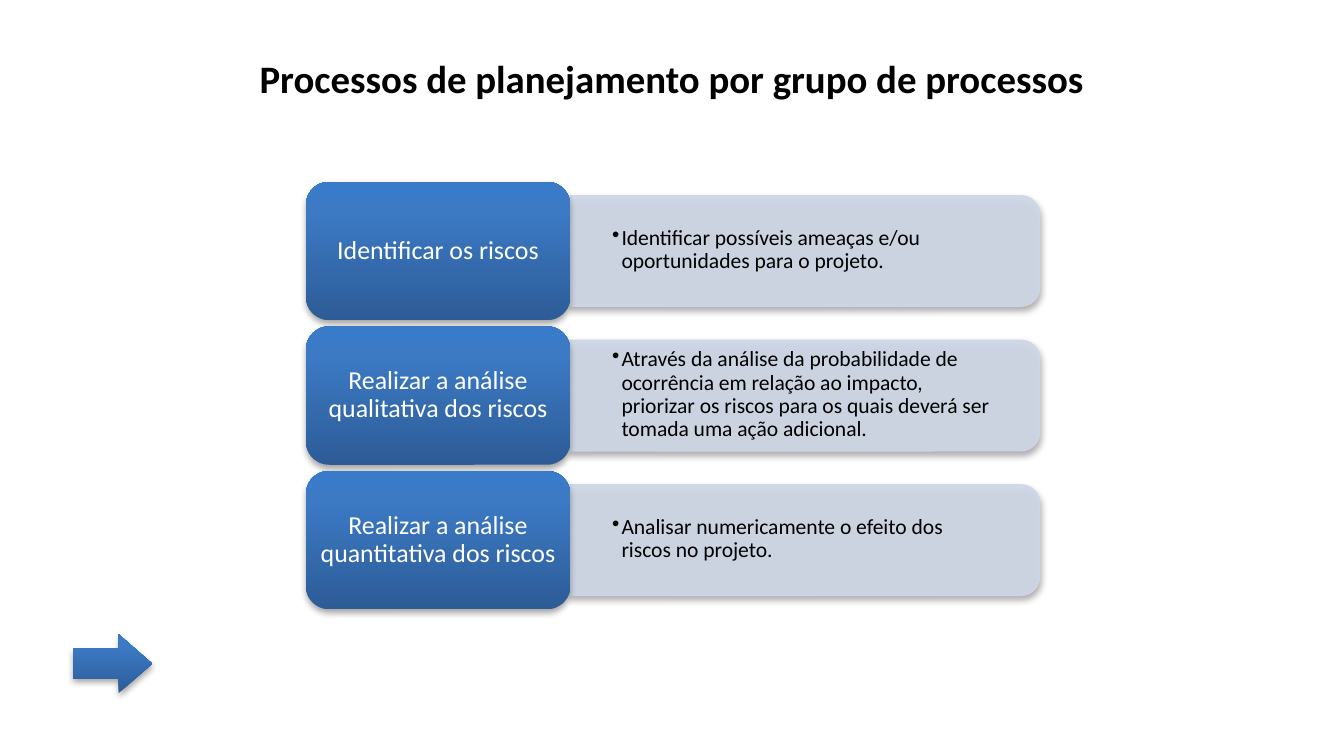
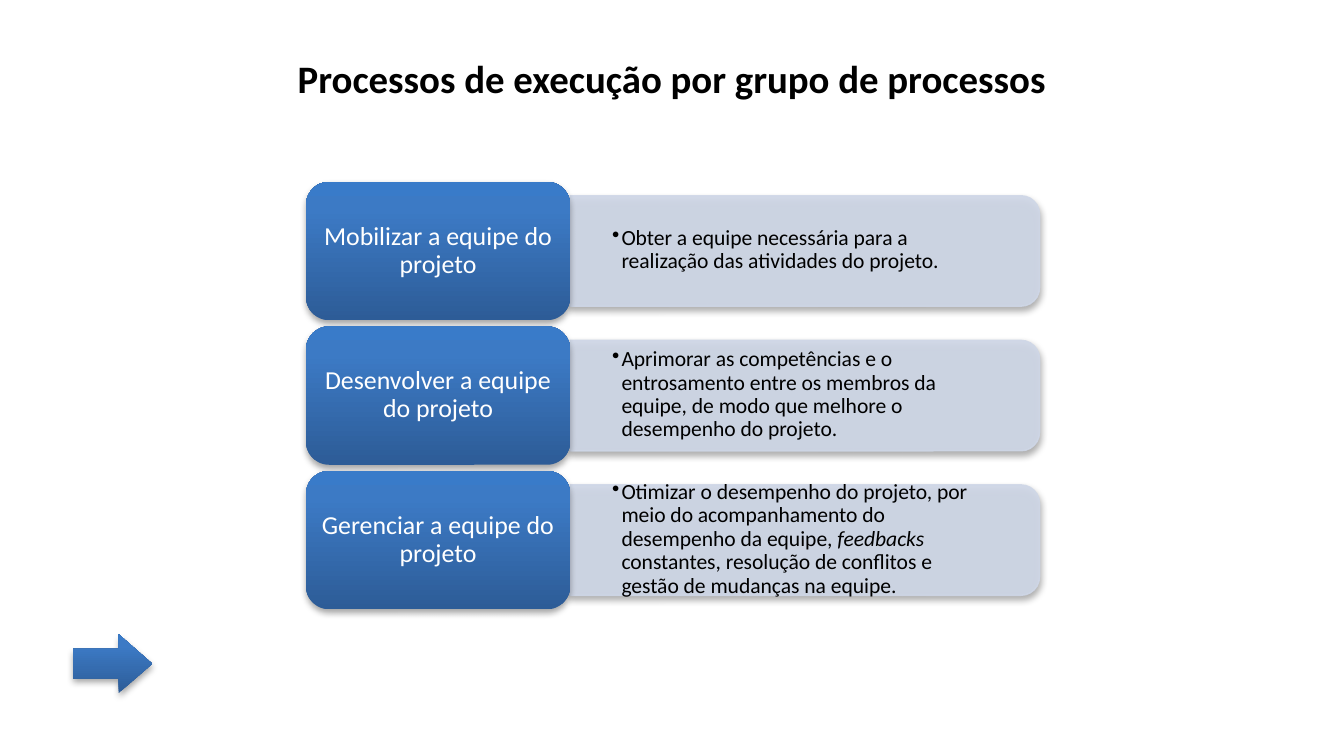
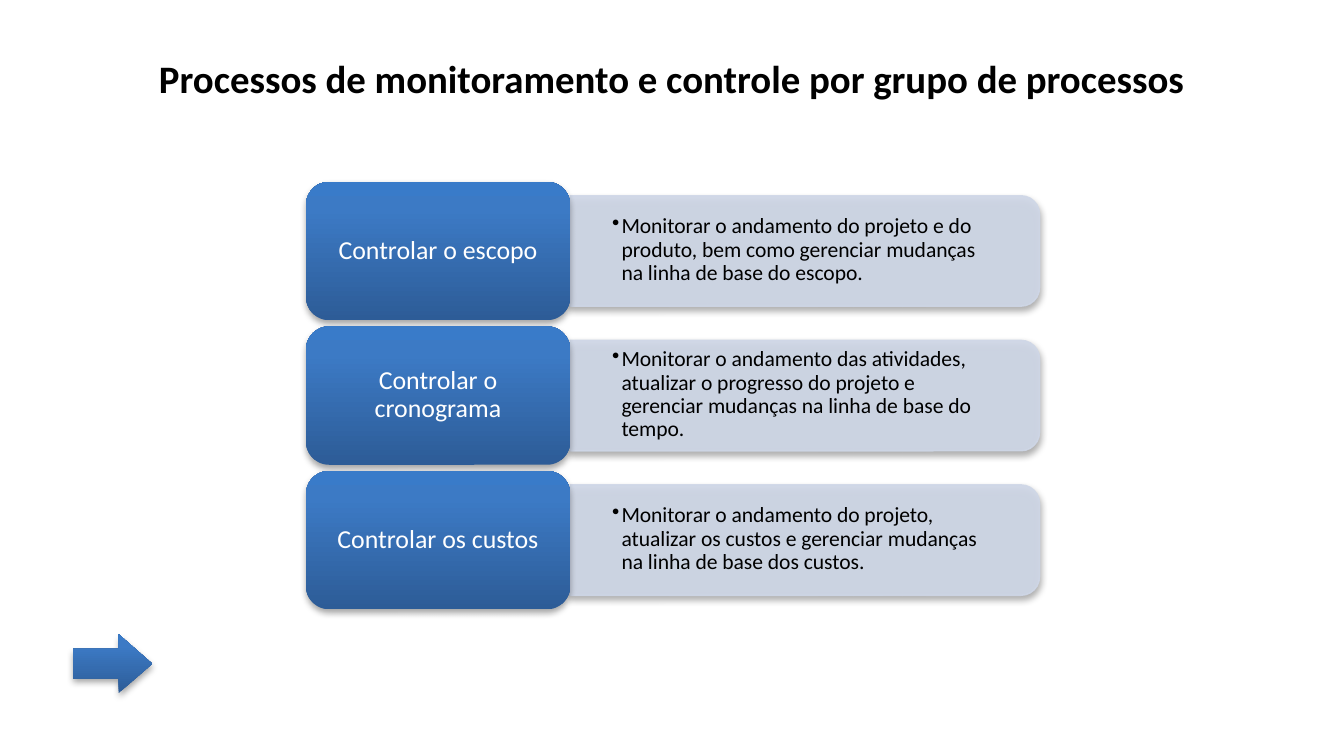
import copy
import lxml.etree
import pptx
import pptx.dml.color
import pptx.enum.dml
import pptx.enum.shapes
import pptx.enum.text
import pptx.oxml
import pptx.oxml.ns
import pptx.util

Inches = pptx.util.Inches
Pt = pptx.util.Pt
RGBColor = pptx.dml.color.RGBColor
qn = pptx.oxml.ns.qn
Shape = pptx.enum.shapes.MSO_SHAPE
Align = pptx.enum.text.PP_ALIGN
Anchor = pptx.enum.text.MSO_ANCHOR

BLACK = RGBColor(0x00, 0x00, 0x00)
WHITE = RGBColor(0xFF, 0xFF, 0xFF)
PALE = RGBColor(0xCF, 0xD7, 0xE7)
BLUES = [(0, RGBColor(0x2D, 0x5C, 0x97)),
         (0.8, RGBColor(0x3C, 0x7A, 0xC5)),
         (1, RGBColor(0x39, 0x7B, 0xC9))]

WIDTH, HEIGHT = 8.65, 4.69
TOP, PITCH = 1.17, 0.93
LEFT, WIDE, TALL = 1.97, 1.7, 0.89
PANEL, DEPTH = 3.02, 0.71
ROUND = 0.167

SHADOW = (
    f'<a:effectLst {pptx.oxml.ns.nsdecls("a")}>'
    '<a:outerShdw blurRad="40000" dist="23000" dir="5400000" rotWithShape="0">'
    '<a:srgbClr val="000000"><a:alpha val="35000"/></a:srgbClr>'
    '</a:outerShdw></a:effectLst>')

TITLE = {
    "frame": {"word_wrap": True},
    "para": {"alignment": Align.CENTER},
    "font": {"name": "Calibri", "size": Pt(18), "bold": True},
    "color": BLACK}
LABEL = {
    "frame": {"word_wrap": True, "vertical_anchor": Anchor.MIDDLE,
              "margin_left": Inches(0.05), "margin_right": Inches(0.05),
              "margin_top": Inches(0.02), "margin_bottom": Inches(0.02)},
    "para": {"alignment": Align.CENTER, "line_spacing": 0.9},
    "font": {"name": "Calibri", "size": Pt(12)},
    "color": WHITE}
DETAIL = {
    "frame": {"word_wrap": True, "vertical_anchor": Anchor.MIDDLE,
              "margin_left": Inches(0.27), "margin_right": Inches(0.27),
              "margin_top": Inches(0.14), "margin_bottom": Inches(0.14)},
    "para": {"alignment": Align.LEFT, "line_spacing": 0.9, "level": 1},
    "font": {"name": "Calibri", "size": Pt(10)},
    "color": BLACK,
    "bullet": "•"}

SLIDES = [
    ("Processos de planejamento por grupo de processos", [
        ("Identificar os riscos",
         "Identificar possíveis ameaças e/ou oportunidades para o projeto."),
        ("Realizar a análise qualitativa dos riscos",
         "Através da análise da probabilidade de ocorrência em relação ao impacto, "
         "priorizar os riscos para os quais deverá ser tomada uma ação adicional."),
        ("Realizar a análise quantitativa dos riscos",
         "Analisar numericamente o efeito dos riscos no projeto.")]),
    ("Processos de execução por grupo de processos", [
        ("Mobilizar a equipe do projeto",
         "Obter a equipe necessária para a realização das atividades do projeto."),
        ("Desenvolver a equipe do projeto",
         "Aprimorar as competências e o entrosamento entre os membros da equipe, "
         "de modo que melhore o desempenho do projeto."),
        ("Gerenciar a equipe do projeto",
         "Otimizar o desempenho do projeto, por meio do acompanhamento do "
         "desempenho da equipe, *feedbacks* constantes, resolução de conflitos "
         "e gestão de mudanças na equipe.")]),
    ("Processos de monitoramento e controle por grupo de processos", [
        ("Controlar o escopo",
         "Monitorar o andamento do projeto e do produto, bem como gerenciar "
         "mudanças na linha de base do escopo."),
        ("Controlar o cronograma",
         "Monitorar o andamento das atividades, atualizar o progresso do projeto "
         "e gerenciar mudanças na linha de base do tempo."),
        ("Controlar os custos",
         "Monitorar o andamento do projeto, atualizar os custos e gerenciar "
         "mudanças na linha de base dos custos.")])]


def write(shape, text, style):
    frame = shape.text_frame
    para = frame.paragraphs[0]
    for item, key in ((frame, "frame"), (para, "para")):
        for name, value in style[key].items():
            setattr(item, name, value)
    if "bullet" in style:
        props = para._p.get_or_add_pPr()
        props.set("marL", str(Inches(0.06)))
        props.set("indent", str(-Inches(0.06)))
        tint = lxml.etree.SubElement(props, qn("a:buClr"))
        lxml.etree.SubElement(tint, qn("a:srgbClr")).set("val", str(style["color"]))
        lxml.etree.SubElement(props, qn("a:buChar")).set("char", style["bullet"])
    for spot, part in enumerate(text.split("*")):
        run = para.add_run()
        run.text = part
        for name, value in style["font"].items():
            setattr(run.font, name, value)
        run.font.color.rgb = style["color"]
        if spot % 2:
            run.font.italic = True


def draw(slide, kind, box, ratios, blue):
    shape = slide.shapes.add_shape(kind, *map(Inches, box))
    for spot, ratio in enumerate(ratios):
        shape.adjustments[spot] = ratio
    props = shape._element.spPr
    if blue:
        shape.line.fill.background()
        shape.fill.gradient()
        shape.fill.gradient_angle = 90
        stops = props.find(".//" + qn("a:gsLst"))
        stops.append(copy.deepcopy(stops[-1]))
        for stop, (place, color) in zip(shape.fill.gradient_stops, BLUES):
            stop.position = place
            stop.color.rgb = color
    else:
        shape.fill.solid()
        shape.fill.fore_color.rgb = PALE
        shape.line.color.rgb = PALE
        shape.line.width = Pt(0.75)
        for color in props.iter(qn("a:srgbClr")):
            lxml.etree.SubElement(color, qn("a:alpha")).set("val", "90000")
    props.append(pptx.oxml.parse_xml(SHADOW))
    return shape


deck = pptx.Presentation()
deck.slide_width = Inches(WIDTH)
deck.slide_height = Inches(HEIGHT)

for title, rows in SLIDES:
    slide = deck.slides.add_slide(deck.slide_layouts[6])
    head = slide.shapes.add_textbox(0, Inches(0.3), Inches(WIDTH), Inches(0.4))
    write(head, title, TITLE)
    for row, (name, text) in enumerate(rows):
        top = TOP + row * PITCH
        edge = LEFT + WIDE
        box = (edge + (PANEL - DEPTH) / 2, top + (TALL - PANEL) / 2, DEPTH, PANEL)
        panel = draw(slide, Shape.ROUND_2_SAME_RECTANGLE, box, (ROUND, 0), False)
        panel.rotation = 90
        detail = slide.shapes.add_textbox(
            Inches(edge), Inches(top + 0.12), Inches(2.99), Inches(0.64))
        write(detail, text, DETAIL)
        label = draw(slide, Shape.ROUNDED_RECTANGLE, (LEFT, top, WIDE, TALL),
                     (ROUND,), True)
        write(label, name, LABEL)
    draw(slide, Shape.RIGHT_ARROW, (0.47, 4.08, 0.51, 0.38), (0.5, 0.57), True)

deck.save("out.pptx")
